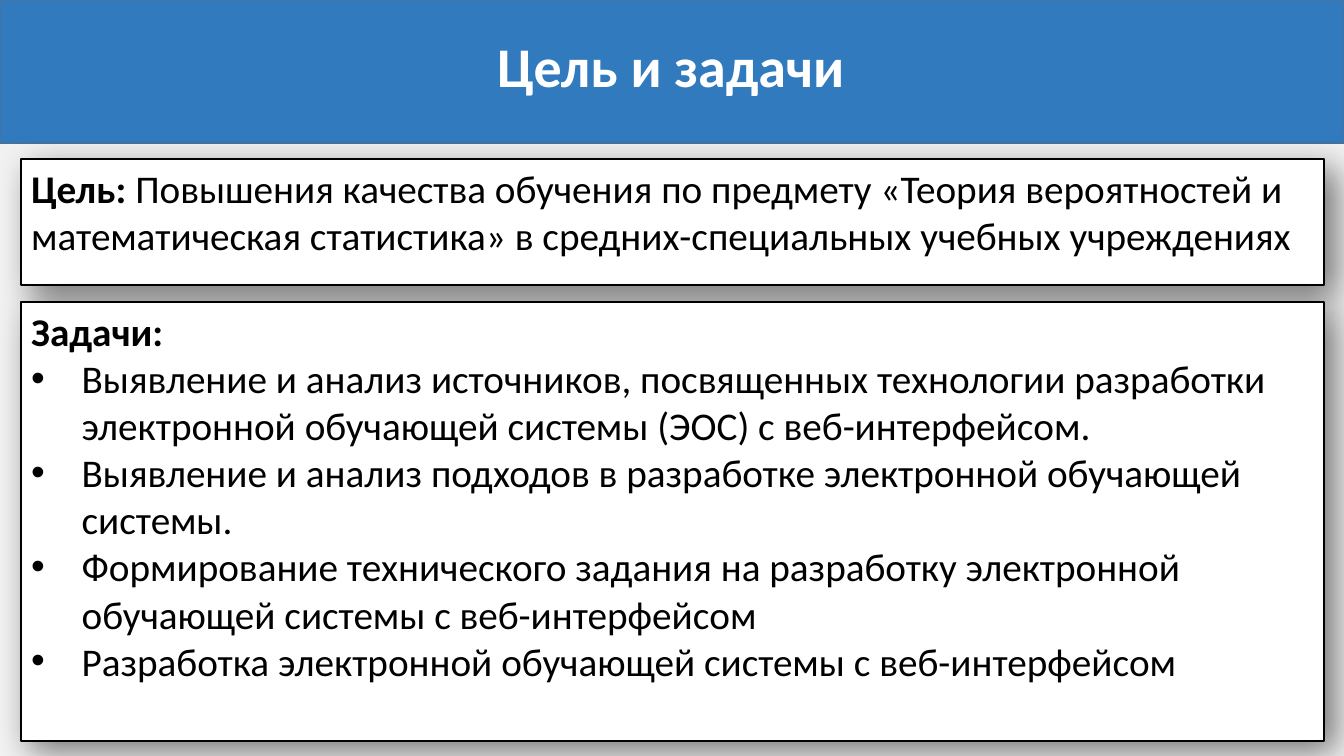
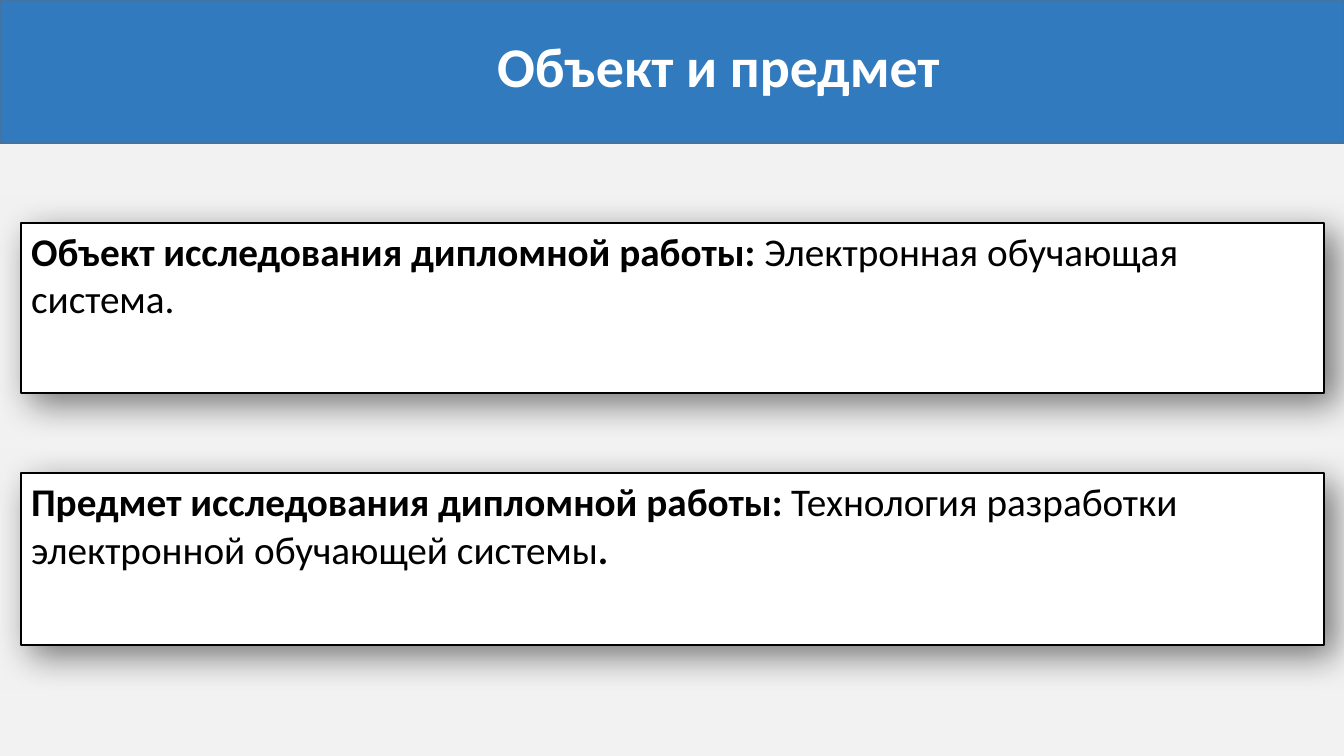
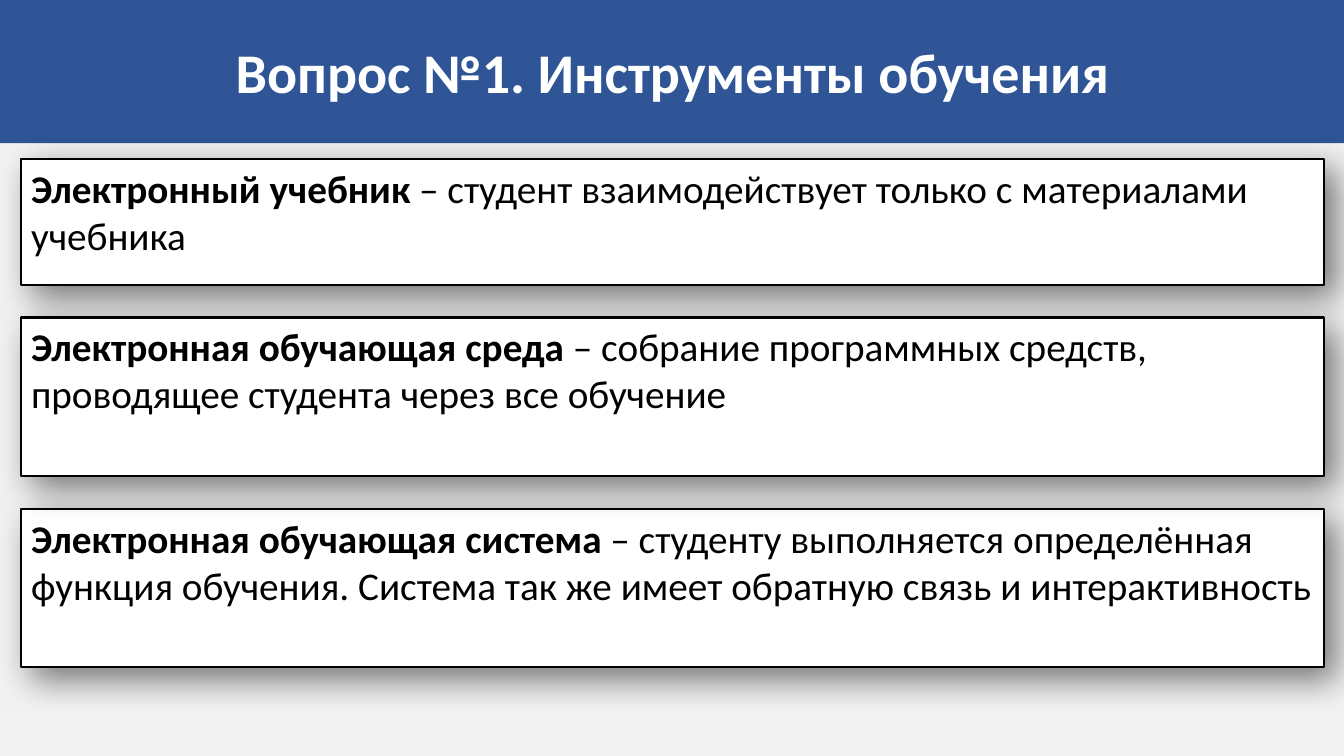
"""Three thesis slides: goal and tasks, object and subject, learning tools."""
from lxml import etree
from pptx import Presentation
from pptx.dml.color import RGBColor
from pptx.enum.shapes import MSO_SHAPE
from pptx.enum.text import MSO_ANCHOR, MSO_AUTO_SIZE, PP_ALIGN
from pptx.oxml.ns import qn
from pptx.util import Inches, Pt

WHITE = RGBColor(0xFF, 0xFF, 0xFF)
BLACK = RGBColor(0x00, 0x00, 0x00)
PAPER = RGBColor(0xF2, 0xF2, 0xF2)
BLUE = RGBColor(0x31, 0x7A, 0xBD)
BLUE_EDGE = RGBColor(0x43, 0x73, 0x9E)
NAVY = RGBColor(0x2F, 0x55, 0x97)

FONT = "Calibri"
SLIDE_W, SLIDE_H, BAND_H = 13.33, 7.5, 1.42
CARD_X, CARD_W = 0.21, 12.92
TITLE_H = 0.77
BULLET_INDENT = Inches(0.5)
TITLE_FONT = dict(name=FONT, size=Pt(40), bold=True)
TEXT_FONT = dict(name=FONT, size=Pt(28))
SHADOW = dict(blurRad=Pt(25), dist=Pt(10), dir=45 * 60000, algn="tl", rotWithShape=0)
SHADOW_ALPHA = 51000

SLIDES = [
    dict(
        title="Цель и задачи", title_box=(4.83, 0.26, 3.68), align=PP_ALIGN.LEFT,
        band=BLUE, edge=BLUE_EDGE,
        cards=[
            (1.58, 1.25, [("Цель: ", True), (
                "Повышения качества обучения по предмету «Теория вероятностей и "
                "математическая статистика» в средних-специальных учебных учреждениях", False)]),
        ],
        tasks=(3, 4.35, "Задачи:", [
            "Выявление и анализ источников, посвященных технологии разработки "
            "электронной обучающей системы (ЭОС) с веб-интерфейсом.",
            "Выявление и анализ подходов в разработке электронной обучающей системы.",
            "Формирование технического задания на разработку электронной "
            "обучающей системы с веб-интерфейсом",
            "Разработка электронной обучающей системы с веб-интерфейсом",
        ]),
    ),
    dict(
        title="Объект и предмет", title_box=(4.83, 0.26, 4.64), align=PP_ALIGN.LEFT,
        band=BLUE, edge=BLUE_EDGE,
        cards=[
            (2.21, 1.69, [("Объект исследования дипломной работы: ", True),
                          ("Электронная обучающая система.", False)]),
            (4.69, 1.71, [("Предмет исследования дипломной работы: ", True),
                          ("Технология разработки электронной обучающей системы", False),
                          (".", True)]),
        ],
    ),
    dict(
        title="Вопрос №1. Инструменты обучения", title_box=(2.19, 0.32, 8.96),
        align=PP_ALIGN.CENTER, band=NAVY, edge=None,
        cards=[
            (1.58, 1.25, [("Электронный учебник ", True),
                          ("– студент взаимодействует только с материалами учебника", False)]),
            (5.05, 1.57, [("Электронная обучающая система ", True),
                          ("– студенту выполняется определённая функция обучения. "
                           "Система так же имеет обратную связь и интерактивность", False)]),
            (3.15, 1.57, [("Электронная обучающая среда ", True),
                          ("– собрание программных средств, проводящее студента "
                           "через все обучение", False)]),
        ],
    ),
]


def place(sp, x, y, w, h):
    sp.left, sp.top, sp.width, sp.height = map(Inches, (x, y, w, h))


def add_run(p, text, color, **fmt):
    r = p.add_run()
    r.text = text
    for key, value in fmt.items():
        setattr(r.font, key, value)
    r.font.color.rgb = color


def add_rect(s, x, y, w, h, fill, edge=None):
    sp = s.shapes.add_shape(MSO_SHAPE.RECTANGLE, *map(Inches, (x, y, w, h)))
    sp.shadow.inherit = False
    sp.fill.solid()
    sp.fill.fore_color.rgb = fill
    if edge is None:
        sp.line.fill.background()
    else:
        sp.line.color.rgb = edge
        sp.line.width = Pt(1)
    return sp


def style_card(sp):
    sp.fill.solid()
    sp.fill.fore_color.rgb = WHITE
    sp.line.color.rgb = BLACK
    sp.line.width = Pt(1.5)
    sp.shadow.inherit = False
    effects = sp.element.spPr.find(qn("a:effectLst"))
    shadow = etree.SubElement(effects, qn("a:outerShdw"),
                              {key: str(value) for key, value in SHADOW.items()})
    color = etree.SubElement(shadow, qn("a:srgbClr"), val=str(BLACK))
    etree.SubElement(color, qn("a:alpha"), val=str(SHADOW_ALPHA))
    tf = sp.text_frame
    tf.word_wrap = True
    tf.auto_size = MSO_AUTO_SIZE.NONE
    tf.vertical_anchor = MSO_ANCHOR.TOP


def set_bullet(p, char=None):
    pPr = p._p.get_or_add_pPr()
    indent = BULLET_INDENT if char else 0
    pPr.set("marL", str(indent))
    pPr.set("indent", str(-indent))
    if char:
        etree.SubElement(pPr, qn("a:buFont"), typeface="Arial")
        etree.SubElement(pPr, qn("a:buChar"), char=char)
    else:
        etree.SubElement(pPr, qn("a:buNone"))


def fill_title(s, text, box, align):
    sp = s.shapes.title
    place(sp, *box, TITLE_H)
    s.shapes.element.append(sp.element)
    tf = sp.text_frame
    tf.word_wrap = False
    tf.auto_size = MSO_AUTO_SIZE.SHAPE_TO_FIT_TEXT
    tf.vertical_anchor = MSO_ANCHOR.TOP
    p = tf.paragraphs[0]
    p.alignment = align
    add_run(p, text, WHITE, **TITLE_FONT)


def add_card(s, y, h, runs):
    sp = add_rect(s, CARD_X, y, CARD_W, h, WHITE)
    style_card(sp)
    p = sp.text_frame.paragraphs[0]
    p.alignment = PP_ALIGN.LEFT
    for text, bold in runs:
        add_run(p, text, BLACK, bold=bold, **TEXT_FONT)


def fill_tasks(s, y, h, heading, items):
    sp = s.placeholders[1]
    place(sp, CARD_X, y, CARD_W, h)
    s.shapes.element.append(sp.element)
    style_card(sp)
    tf = sp.text_frame
    for i, text in enumerate([heading, *items]):
        p = tf.add_paragraph() if i else tf.paragraphs[0]
        p.space_before = Pt(0)
        p.line_spacing = 1.0
        set_bullet(p, "•" if i else None)
        add_run(p, text, BLACK, bold=i == 0, **TEXT_FONT)


def build_slide(prs, data):
    tasks = data.get("tasks")
    s = prs.slides.add_slide(prs.slide_layouts.get_by_name(
        "Title and Content" if tasks else "Title Only"))
    add_rect(s, 0, BAND_H, SLIDE_W, SLIDE_H - BAND_H, PAPER)
    add_rect(s, 0, 0, SLIDE_W, BAND_H, data["band"], data["edge"])
    fill_title(s, data["title"], data["title_box"], data["align"])
    for card in data["cards"]:
        add_card(s, *card)
    if tasks:
        fill_tasks(s, *tasks)


def main():
    prs = Presentation()
    prs.slide_width, prs.slide_height = Inches(SLIDE_W), Inches(SLIDE_H)
    for data in SLIDES:
        build_slide(prs, data)
    prs.save("out.pptx")


if __name__ == "__main__":
    main()
